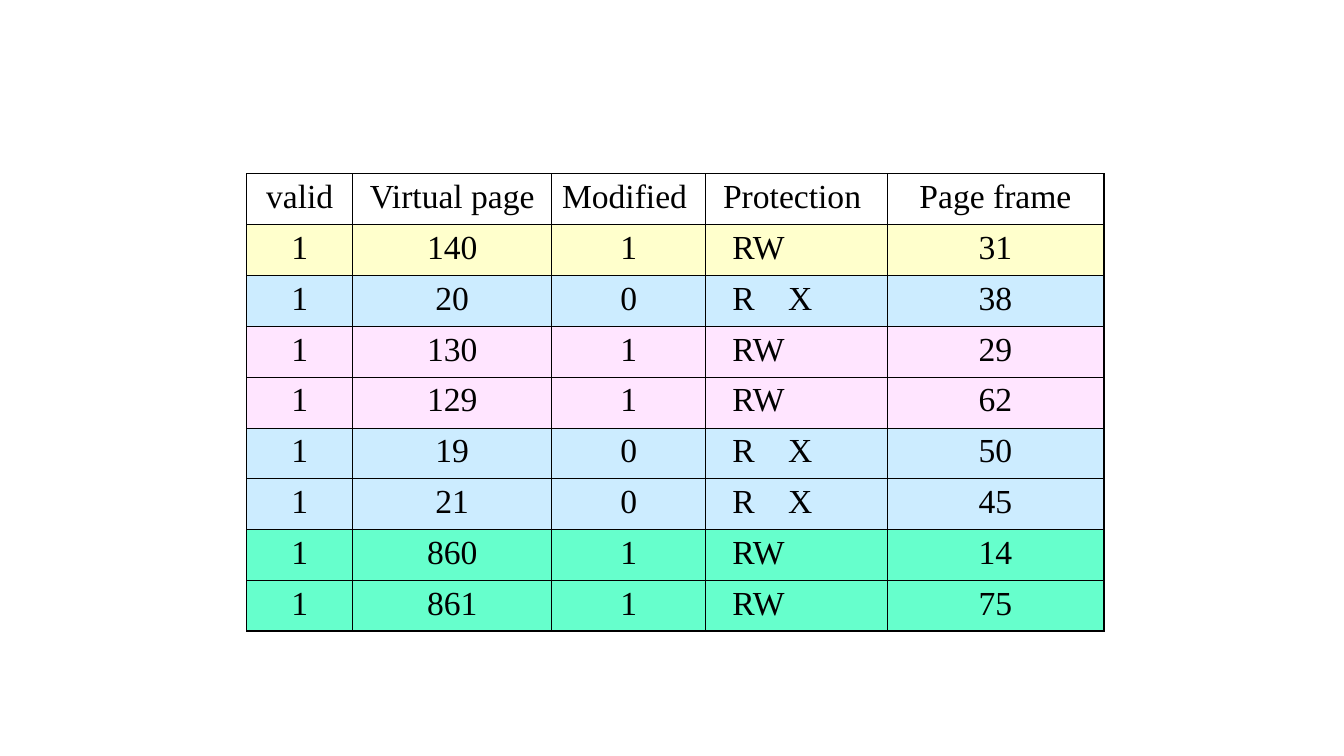
from lxml import etree
from pptx import Presentation
from pptx.dml.color import RGBColor
from pptx.enum.text import PP_ALIGN
from pptx.oxml.ns import qn
from pptx.util import Cm, Pt

CENTER, LEFT = PP_ALIGN.CENTER, PP_ALIGN.LEFT
FONT = "Times New Roman"
BLACK, YELLOW, BLUE, PINK, GREEN = "000000", "FFFFCC", "CCECFF", "FFCCFF", "66FFCC"
OUTER, INNER = 1.08, 0.45
COL_WIDTHS = (2.67, 5.02, 3.88, 4.57, 5.47)
ROW_HEIGHT = 1.28
PROTECTION = 3
EXECUTE_TAB = 1.41

HEADER = ("valid", "Virtual page", "Modified ", "Protection ", "Page frame")
ENTRIES = (
    (YELLOW, ("1", "140", "1", "RW", "31")),
    (BLUE, ("1", "20", "0", "R\tX", "38")),
    (PINK, ("1", "130", "1", "RW", "29")),
    (PINK, ("1", "129", "1", "RW", "62")),
    (BLUE, ("1", "19", "0", "R\tX", "50")),
    (BLUE, ("1", "21", "0", "R\tX", "45")),
    (GREEN, ("1", "860", "1", "RW", "14")),
    (GREEN, ("1", "861", "1", "RW", "75")),
)


def rgb(color):
    return RGBColor.from_string(color)


def fill_cell(cell, color):
    """Fill a cell; pink is half transparent, None leaves it empty."""
    if color is None:
        cell.fill.background()
        return
    cell.fill.solid()
    cell.fill.fore_color.rgb = rgb(color)
    if color == PINK:
        clr = cell.fill._xPr.find(".//" + qn("a:srgbClr"))
        etree.SubElement(clr, qn("a:alpha"), val="50000")


def set_borders(cell, widths):
    """Draw black borders; widths maps the sides L, R, T and B to points."""
    tc_pr = cell._tc.get_or_add_tcPr()
    for i, side in enumerate("LRTB"):
        ln = etree.Element(qn("a:ln" + side), w=str(Pt(widths[side])))
        fill = etree.SubElement(ln, qn("a:solidFill"))
        etree.SubElement(fill, qn("a:srgbClr"), val=BLACK)
        tc_pr.insert(i, ln)


def add_tab(p, position):
    tabs = etree.SubElement(p._p.get_or_add_pPr(), qn("a:tabLst"))
    etree.SubElement(tabs, qn("a:tab"), pos=str(Cm(position)), algn="l")


def write_cell(cell, text, align):
    p = cell.text_frame.paragraphs[0]
    p.text = text
    p.alignment = align
    if "\t" in text:
        add_tab(p, EXECUTE_TAB)
    p.font.name = FONT
    p.font.size = Pt(24)
    p.font.color.rgb = rgb(BLACK)


def add_page_table(slide, left, top):
    rows = ((None, HEADER),) + ENTRIES
    last_row, last_col = len(rows) - 1, len(HEADER) - 1
    table = slide.shapes.add_table(
        len(rows), len(HEADER), Cm(left), Cm(top),
        Cm(sum(COL_WIDTHS)), Cm(ROW_HEIGHT * len(rows))).table
    table.first_row = table.horz_banding = False
    for column, width in zip(table.columns, COL_WIDTHS):
        column.width = Cm(width)
    for r, (color, texts) in enumerate(rows):
        table.rows[r].height = Cm(ROW_HEIGHT)
        for c, text in enumerate(texts):
            cell = table.cell(r, c)
            is_protection = r > 0 and c == PROTECTION
            if is_protection:
                cell.margin_left = Cm(0.67)
            write_cell(cell, text, LEFT if is_protection else CENTER)
            fill_cell(cell, color)
            set_borders(cell, {
                "L": OUTER if c == 0 else INNER,
                "R": OUTER if c == last_col else INNER,
                "T": OUTER if r == 0 else INNER,
                "B": OUTER if r == last_row else INNER,
            })


def main():
    prs = Presentation()
    prs.slide_width, prs.slide_height = Cm(33.88), Cm(19.05)
    slide = prs.slides.add_slide(prs.slide_layouts[6])
    add_page_table(slide, 6.22, 4.38)
    prs.save("out.pptx")


if __name__ == "__main__":
    main()
